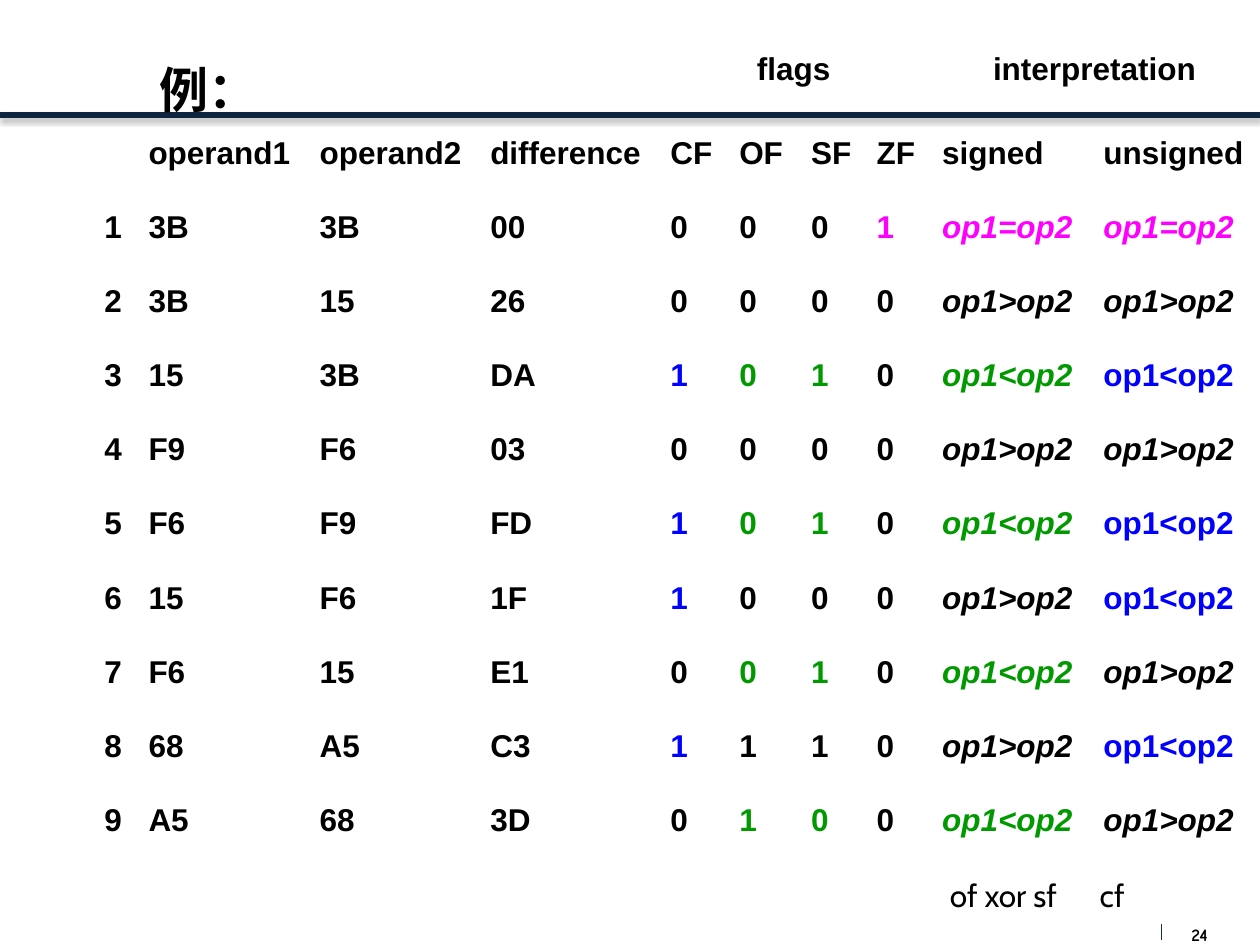
from dataclasses import dataclass

import pptx
import pptx.dml.color
import pptx.enum.shapes
import pptx.enum.text
import pptx.oxml
import pptx.oxml.ns
import pptx.util
from pptx.util import Cm

ALIGN = pptx.enum.text.PP_ALIGN
NO_GRID_STYLE = "{2D5ABB26-0587-4C30-8999-92F81FD0307C}"
NAMESPACE = pptx.oxml.ns.nsdecls("a")


@dataclass(frozen=True)
class Theme:
    ink: str = "000000"
    rule: str = "0F243E"
    divider: str = "172F37"
    equal: str = "FF00FF"
    signed_less: str = "009900"
    unsigned_less: str = "0000FF"
    table_font: str = "Arial"
    note_font: str = "Cabin"
    number_font: str = "Comic Neue"
    title_size: int = 28
    body_size: int = 18
    number_size: int = 10


THEME = Theme()

COLUMN_WIDTHS = [0.89, 3.45, 3.44, 3.63, 1.39, 1.45, 1.32, 1.32, 3.25, 3.4]
TITLE_ROW_HEIGHT = 1.7
BODY_HEIGHT = 14.94
HEADINGS = ["operand1", "operand2", "difference", "CF", "OF", "SF", "ZF",
            "signed", "unsigned"]
# operand1, operand2, difference, then the flags CF OF SF ZF
SUBTRACTIONS = [
    ("3B", "3B", "00", "0001"),
    ("3B", "15", "26", "0000"),
    ("15", "3B", "DA", "1010"),
    ("F9", "F6", "03", "0000"),
    ("F6", "F9", "FD", "1010"),
    ("15", "F6", "1F", "1000"),
    ("F6", "15", "E1", "0010"),
    ("68", "A5", "C3", "1110"),
    ("A5", "68", "3D", "0100"),
]


def write(frame, text, size=THEME.body_size, font=THEME.table_font,
          color=THEME.ink, bold=True, italic=False, align=ALIGN.LEFT):
    """Put one formatted run in the first paragraph and return the paragraph."""
    para = frame.paragraphs[0]
    para.alignment = align
    span = para.add_run()
    span.text = text
    span.font.size = pptx.util.Pt(size)
    span.font.name = font
    span.font.bold = bold
    span.font.italic = italic
    span.font.color.rgb = pptx.dml.color.RGBColor.from_string(color)
    return para


def add_line(page, start, end, color, width, effects=""):
    line = page.shapes.add_connector(
        pptx.enum.shapes.MSO_CONNECTOR.STRAIGHT,
        Cm(start[0]), Cm(start[1]), Cm(end[0]), Cm(end[1]))
    line.line.color.rgb = pptx.dml.color.RGBColor.from_string(color)
    line.line.width = pptx.util.Pt(width)
    line._element.spPr.append(pptx.oxml.parse_xml(
        f"<a:effectLst {NAMESPACE}>{effects}</a:effectLst>"))


def add_box(page, left, top, width, height):
    box = page.shapes.add_textbox(Cm(left), Cm(top), Cm(width), Cm(height))
    box.text_frame.word_wrap = True
    return box.text_frame


def interpret(flags):
    """Give the flag colours and the (text, colour, italic) of both readings."""
    carry, overflow, sign, zero = (flag == "1" for flag in flags)
    if zero:
        reading = ("op1=op2", THEME.equal, True)
        return [THEME.ink] * 3 + [THEME.equal], [reading, reading]
    greater = ("op1>op2", THEME.ink, True)
    signed = ("op1<op2", THEME.signed_less, True) if overflow != sign else greater
    unsigned = ("op1<op2", THEME.unsigned_less, False) if carry else greater
    return [unsigned[1], signed[1], signed[1], THEME.ink], [signed, unsigned]


def add_comparison_table(page):
    body_rows = len(SUBTRACTIONS) + 1
    holder = page.shapes.add_table(
        body_rows + 1, len(COLUMN_WIDTHS), Cm(1.85), Cm(0.91),
        Cm(sum(COLUMN_WIDTHS)), Cm(TITLE_ROW_HEIGHT + BODY_HEIGHT))
    table = holder.table
    table.first_row = table.horz_banding = False
    table._tbl.tblPr.find(pptx.oxml.ns.qn("a:tableStyleId")).text = NO_GRID_STYLE
    for column, width in zip(table.columns, COLUMN_WIDTHS):
        column.width = Cm(width)
    for row in table.rows:
        row.height = Cm(BODY_HEIGHT / body_rows)
    table.rows[0].height = Cm(TITLE_ROW_HEIGHT)
    for cell in table.iter_cells():
        cell.fill.background()

    def fill(row, column, text, **style):
        write(table.cell(row, column).text_frame, text, **style)

    fill(0, 1, " 例：", size=THEME.title_size)
    for first, last, label in [(4, 7, "flags"), (8, 9, "interpretation")]:
        table.cell(0, first).merge(table.cell(0, last))
        fill(0, first, label, align=ALIGN.CENTER)
    for column, heading in enumerate(HEADINGS, 1):
        fill(1, column, heading)
    for number, (*values, flags) in enumerate(SUBTRACTIONS, 1):
        row = number + 1
        flag_colors, readings = interpret(flags)
        for column, text in enumerate([str(number), *values]):
            fill(row, column, text)
        for column, (flag, color) in enumerate(zip(flags, flag_colors), 4):
            fill(row, column, flag, color=color)
        for column, (text, color, italic) in enumerate(readings, 8):
            fill(row, column, text, color=color, italic=italic)


def add_page_number(page):
    frame = add_box(page, 23.75, 18.62, 0.86, 0.43)
    frame.margin_left = frame.margin_right = 0
    frame.margin_top = frame.margin_bottom = 0
    write(frame, "24", size=THEME.number_size, font=THEME.number_font,
          align=ALIGN.CENTER)
    add_line(page, (23.42, 18.62), (23.42, 18.95), THEME.divider, 0.75)


def add_flag_note(page):
    """Name the flag test below each reading, the second at a tab stop."""
    frame = add_box(page, 18.9, 17.53, 5.21, 1.02)
    para = write(frame, "of xor sf\tcf", font=THEME.note_font, bold=False)
    para._p.get_or_add_pPr().append(pptx.oxml.parse_xml(
        f'<a:tabLst {NAMESPACE}><a:tab pos="{Cm(3.02)}" algn="l"/></a:tabLst>'))


def main():
    deck = pptx.Presentation()
    deck.slide_width, deck.slide_height = Cm(25.4), Cm(19.05)
    page = deck.slides.add_slide(deck.slide_layouts[6])
    add_line(page, (0, 2.32), (25.4, 2.32), THEME.rule, 3,
             '<a:outerShdw blurRad="39400" dist="22900" dir="5400000">'
             '<a:srgbClr val="000000"><a:alpha val="35000"/></a:srgbClr>'
             '</a:outerShdw>')
    add_page_number(page)
    add_comparison_table(page)
    add_flag_note(page)
    deck.save("out.pptx")


if __name__ == "__main__":
    main()
